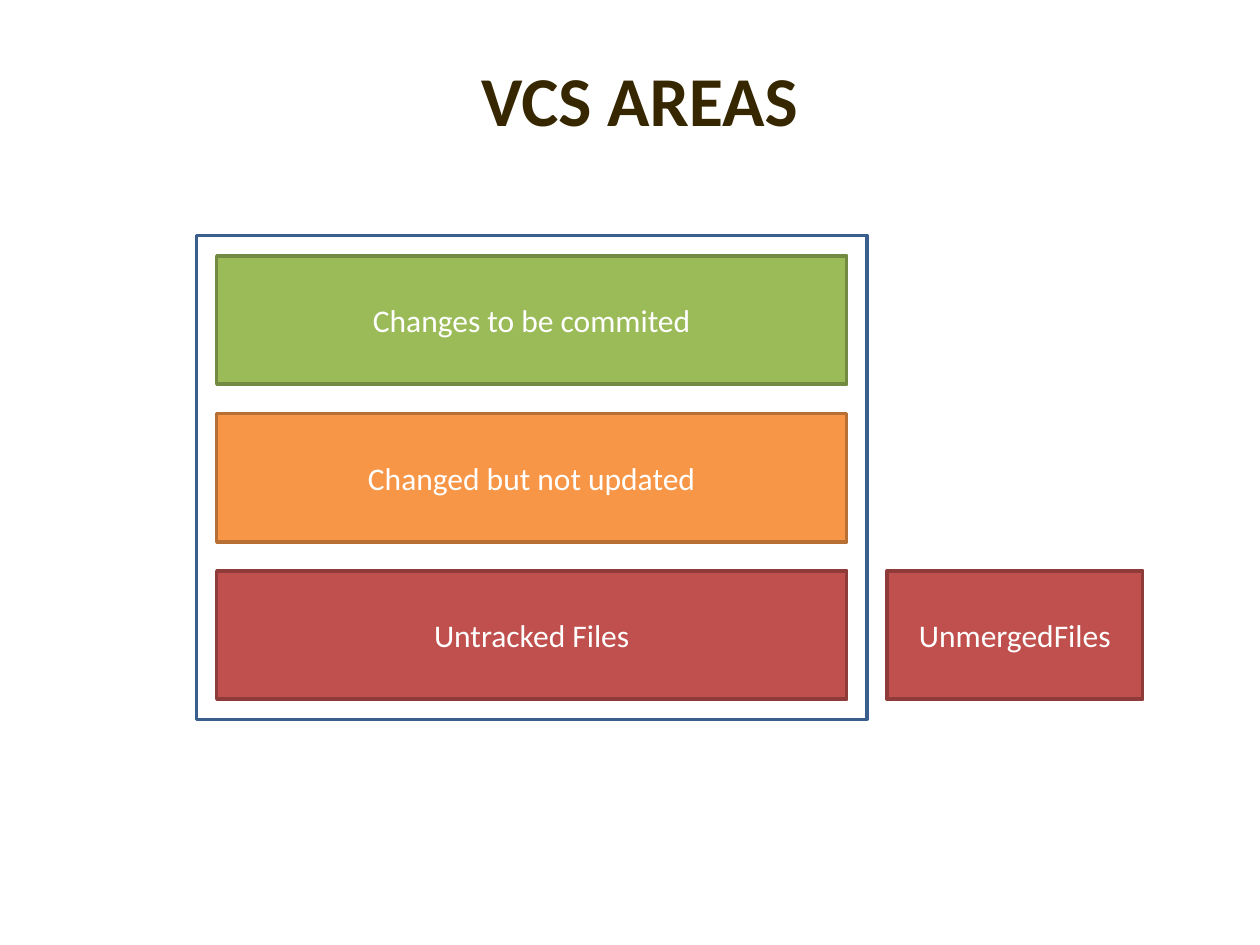
import pptx
import pptx.dml.color
import pptx.enum.shapes
import pptx.enum.text
import pptx.util

# Content: label, fill, border; "VCS" is the generic word for the tool
TITLE = "VCS AREAS"
AREAS = [
    ("Changes to be commited", "9BBB59", "738A42"),
    ("Changed but not updated", "F79646", "B76F34"),
    ("Untracked Files", "C0504D", "8E3B39"),
]
UNMERGED = ("UnmergedFiles", "C0504D", "8E3B39")
FRAME_BORDER = "3A5F8C"

# Grid in inches
LEFT, TOP = 1.72, 2.03
AREA_WIDTH, AREA_HEIGHT = 5, 1.02
ROW_STEP = 1.25
MARGIN = 0.16
UNMERGED_WIDTH = 2.03


def color(hex_string):
    return pptx.dml.color.RGBColor.from_string(hex_string)


def place(shape, *box):
    shape.left, shape.top, shape.width, shape.height = map(pptx.util.Inches, box)


def write(shape, text, size=18, hex_color="FFFFFF", bold=False):
    frame = shape.text_frame
    frame.word_wrap = True
    frame.auto_size = pptx.enum.text.MSO_AUTO_SIZE.NONE
    frame.vertical_anchor = pptx.enum.text.MSO_ANCHOR.MIDDLE
    paragraph = frame.paragraphs[0]
    paragraph.alignment = pptx.enum.text.PP_ALIGN.CENTER
    run = paragraph.add_run()
    run.text = text
    run.font.name = "Calibri"
    run.font.size = pptx.util.Pt(size)
    run.font.bold = bold
    run.font.color.rgb = color(hex_color)


def add_box(slide, box, border, fill=None):
    shape = slide.shapes.add_shape(
        pptx.enum.shapes.MSO_SHAPE.RECTANGLE, *map(pptx.util.Inches, box))
    shape.shadow.inherit = False
    if fill:
        shape.fill.solid()
        shape.fill.fore_color.rgb = color(fill)
    else:
        shape.fill.background()
    shape.line.color.rgb = color(border)
    shape.line.width = pptx.util.Pt(2)
    return shape


presentation = pptx.Presentation()
presentation.slide_width = pptx.util.Inches(10)
presentation.slide_height = pptx.util.Inches(7.5)
slide = presentation.slides.add_slide(presentation.slide_layouts[5])

# Title
place(slide.shapes.title, 1.48, 0.39, 7.19, 0.78)
write(slide.shapes.title, TITLE, size=40, hex_color="362700", bold=True)

# Stacked areas, with unmerged files beside the last row
last_top = TOP + (len(AREAS) - 1) * ROW_STEP
boxes = [(LEFT, TOP + row * ROW_STEP, AREA_WIDTH, AREA_HEIGHT)
         for row in range(len(AREAS))]
boxes.append((LEFT + AREA_WIDTH + 2 * MARGIN, last_top, UNMERGED_WIDTH, AREA_HEIGHT))
for (label, fill, border), box in zip(AREAS + [UNMERGED], boxes):
    write(add_box(slide, box, border, fill), label)

# Frame around the stack
add_box(slide, (LEFT - MARGIN, TOP - MARGIN, AREA_WIDTH + 2 * MARGIN,
                last_top + AREA_HEIGHT - TOP + 2 * MARGIN), FRAME_BORDER)

presentation.save("out.pptx")
